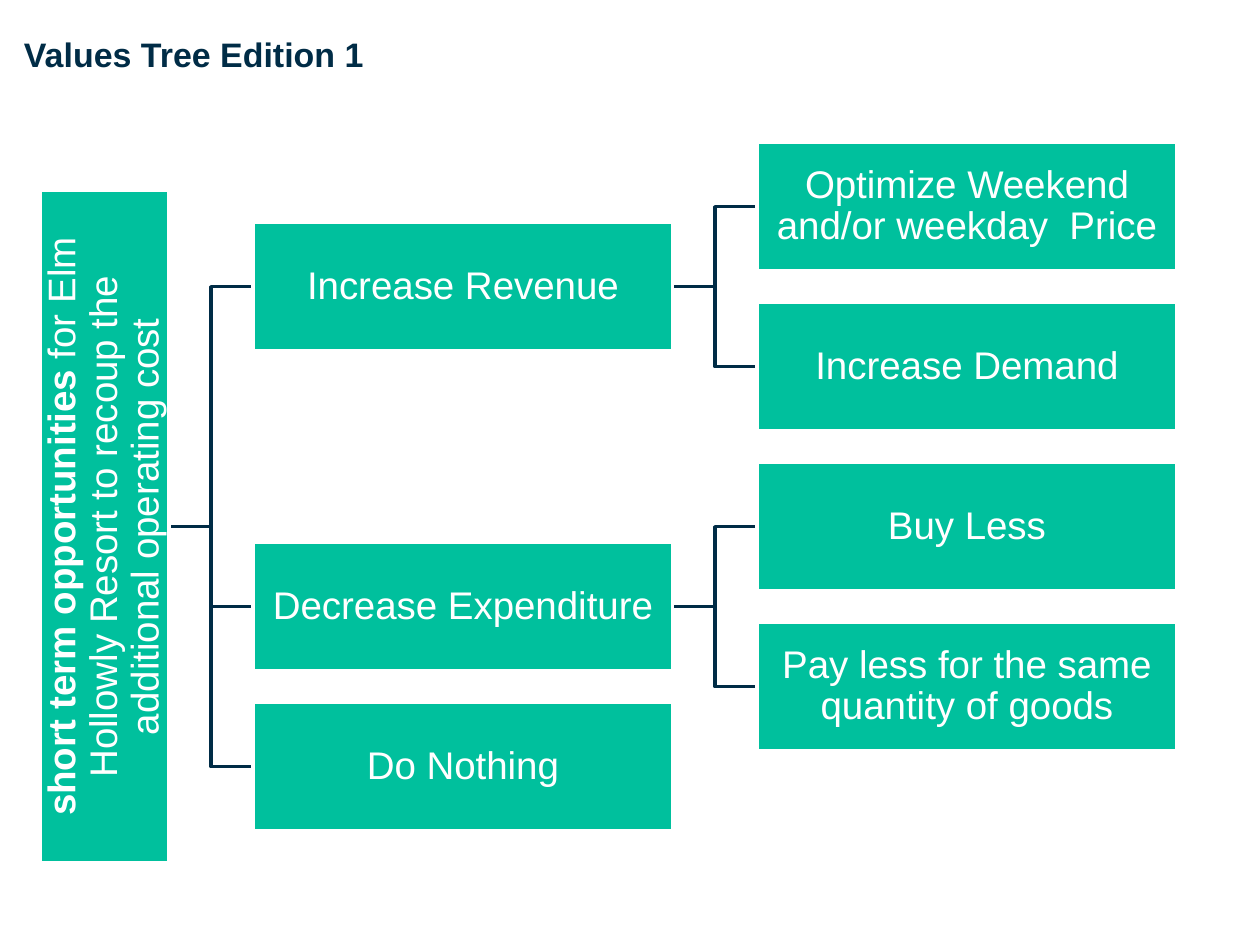
import pptx
import pptx.util
import pptx.dml.color
import pptx.enum.shapes
import pptx.enum.text

Inches = pptx.util.Inches
Align = pptx.enum.text.PP_ALIGN

TITLE = "Values Tree Edition 1"
ROOT = [
    ("short term opportunities", True),
    (" for Elm Hollowly Resort to recoup the additional operating cost", False),
]
TREE = [
    ("Increase Revenue", 0.5, [
        ("Optimize Weekend and/or weekday  Price", 0),
        ("Increase Demand", 1),
    ]),
    ("Decrease Expenditure", 2.5, [
        ("Buy Less", 2),
        ("Pay less for the same quantity of goods", 3),
    ]),
    ("Do Nothing", 3.5, []),
]
ROOT_ROW = 2

THEME = {
    "font": "Arial", "head": 19.4, "body": 22, "line": 2,
    "navy": "002C46", "green": "00C09D", "white": "FFFFFF",
}

TOP, STEP = 1.64, 1.27
WIDE, HIGH, LONG = 3.33, 1.02, 5.34
ROOT_MID = 0.83
GAP = 0.67
COL1 = ROOT_MID + HIGH / 2 + GAP
COL2 = COL1 + WIDE + GAP


def tint(name):
    return pptx.dml.color.RGBColor.from_string(THEME[name])


def row_mid(row):
    return TOP + STEP * row


def write(frame, runs, size, color, align, inset=0, space=1.0):
    frame.word_wrap = True
    frame.auto_size = pptx.enum.text.MSO_AUTO_SIZE.NONE
    frame.vertical_anchor = pptx.enum.text.MSO_ANCHOR.MIDDLE
    frame.margin_left = frame.margin_right = Inches(inset)
    frame.margin_top = frame.margin_bottom = Inches(inset)
    para = frame.paragraphs[0]
    para.alignment = align
    para.line_spacing = space
    for text, bold in runs:
        run = para.add_run()
        run.text = text
        run.font.name = THEME["font"]
        run.font.size = pptx.util.Pt(THEME[size])
        run.font.bold = bold
        run.font.color.rgb = tint(color)


def add_box(slide, runs, mid_x, mid_y, width, turn=0):
    box = slide.shapes.add_shape(
        pptx.enum.shapes.MSO_SHAPE.RECTANGLE,
        Inches(mid_x - width / 2), Inches(mid_y - HIGH / 2),
        Inches(width), Inches(HIGH))
    box.rotation = turn
    box.shadow.inherit = False
    box.fill.solid()
    box.fill.fore_color.rgb = tint("green")
    box.line.color.rgb = tint("white")
    box.line.width = pptx.util.Pt(THEME["line"])
    write(box.text_frame, runs, "body", "white", Align.CENTER, inset=0.02, space=0.9)


def add_branch(slide, end, from_row, to_row):
    start, bend = end - GAP, end - GAP / 2
    y1, y2 = row_mid(from_row), row_mid(to_row)
    pen = slide.shapes.build_freeform(Inches(start), Inches(y1))
    points = [(bend, y1), (bend, y2), (end, y2)]
    pen.add_line_segments([(Inches(x), Inches(y)) for x, y in points], close=False)
    branch = pen.convert_to_shape()
    branch.shadow.inherit = False
    branch.fill.background()
    branch.line.color.rgb = tint("navy")
    branch.line.width = pptx.util.Pt(THEME["line"])


def main():
    deck = pptx.Presentation()
    deck.slide_width, deck.slide_height = Inches(10), Inches(7.5)
    slide = deck.slides.add_slide(deck.slide_layouts[5])

    title = slide.shapes.title
    title.left, title.top = Inches(0.19), Inches(0.26)
    title.width, title.height = Inches(9.62), Inches(0.33)
    write(title.text_frame, [(TITLE, True)], "head", "navy", Align.LEFT)

    for _, row, leaves in TREE:
        add_branch(slide, COL1, ROOT_ROW, row)
        for _, leaf_row in leaves:
            add_branch(slide, COL2, row, leaf_row)

    add_box(slide, ROOT, ROOT_MID, row_mid(ROOT_ROW), LONG, turn=270)
    for text, row, leaves in TREE:
        add_box(slide, [(text, False)], COL1 + WIDE / 2, row_mid(row), WIDE)
        for leaf, leaf_row in leaves:
            add_box(slide, [(leaf, False)], COL2 + WIDE / 2, row_mid(leaf_row), WIDE)

    deck.save("out.pptx")


if __name__ == "__main__":
    main()
